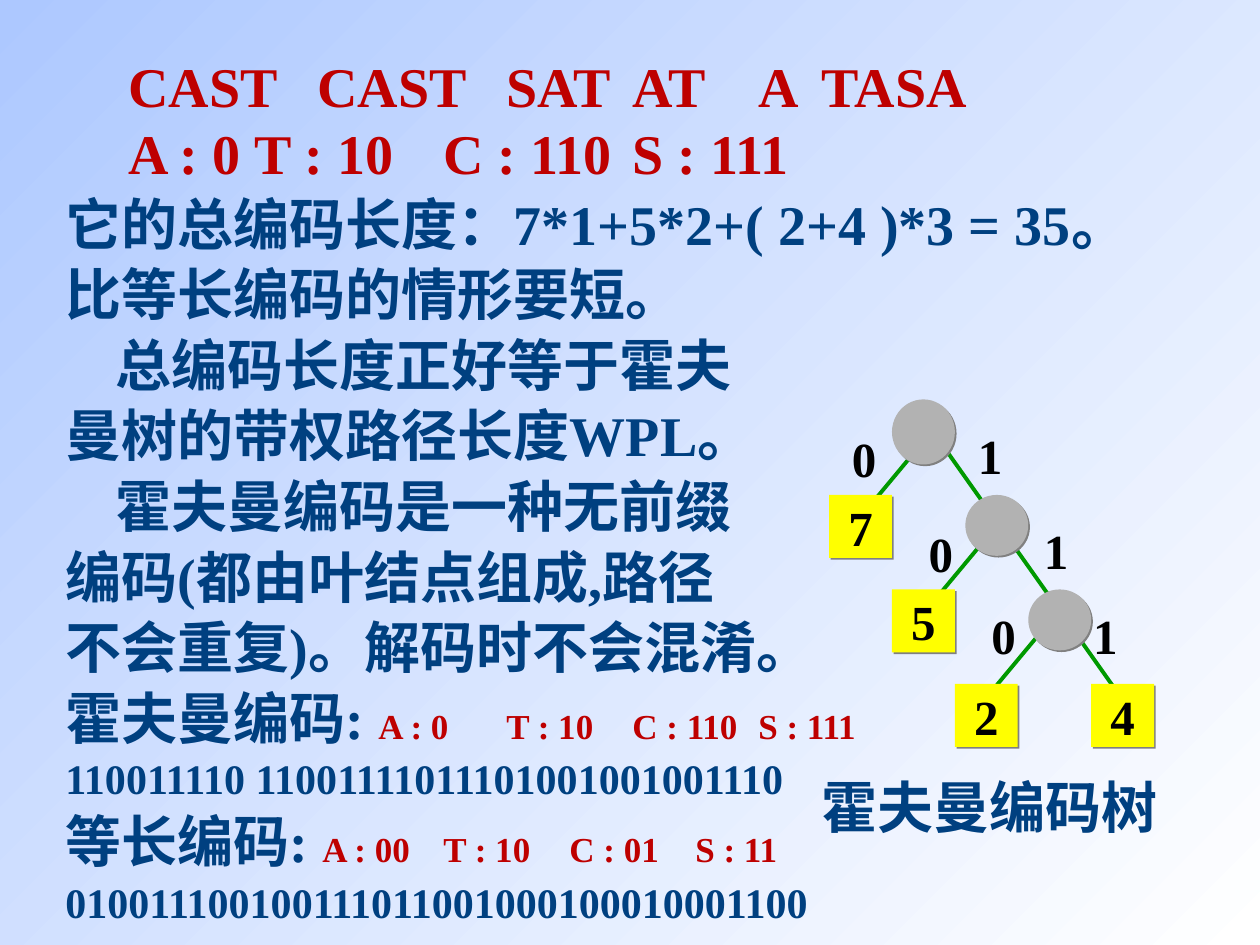
from lxml.etree import SubElement
from pptx import Presentation
from pptx.dml.color import RGBColor
from pptx.enum.shapes import MSO_CONNECTOR, MSO_SHAPE
from pptx.enum.text import MSO_ANCHOR, PP_ALIGN
from pptx.oxml.ns import qn
from pptx.util import Inches, Pt

FONT = "Times New Roman"
RED, NAVY, BLACK = "BE0000", "004080", "000000"
GREEN, GRAY, YELLOW, SHADOW = "009900", "B2B2B2", "FFFF00", "808080"

# Each paragraph: runs of (text, size, colour), line spacing, first-line indent, tab stops
BODY = [
    ([("\tCAST\tCAST\tSAT\tAT\tA\tTASA", 32, RED)], 1, 0, (1, 2.4, 3.79, 4.81, 5.59, 6.1)),
    ([("\tA : 0\tT : 10\tC : 110\tS : 111", 32, RED)], 1, 0, (1.45, 2.79, 4.46, 6.23)),
    ([("它的总编码长度：7*1+5*2+( 2+4 )*3 = 35。比等长编码的情形要短。", 32, NAVY)], 1.05, 0, ()),
    ([("总编码长度正好等于霍夫", 32, NAVY)], 1.05, 0.4, ()),
    ([("曼树的带权路径长度WPL。", 32, NAVY)], 1.05, 0, ()),
    ([("霍夫曼编码是一种无前缀", 32, NAVY)], 1.05, 0.4, ()),
    ([("编码(都由叶结点组成,路径", 32, NAVY)], 1.05, 0, ()),
    ([("不会重复)。解码时不会混淆。", 32, NAVY)], 1.05, 0, ()),
    ([("霍夫曼编码: ", 32, NAVY), ("A : 0\tT : 10\tC : 110\tS : 111", 20, RED)],
     1.05, 0, (3.43, 4.47, 5.58)),
    ([("110011110 11001111011101001001001110", 24, NAVY)], 1.05, 0, ()),
    ([("等长编码: ", 32, NAVY), ("A : 00\tT : 10\tC : 01\tS : 11", 20, RED)],
     1.05, 0, (3.05, 4.02, 5.01)),
    ([("010011100100111011001000100010001100", 24, NAVY)], 1.05, 0, ()),
]


def color(value):
    return RGBColor.from_string(value)


def style_run(run, size, value):
    run.font.name = FONT
    run.font.size = Pt(size)
    run.font.bold = True
    run.font.color.rgb = color(value)


def paint_background(slide):
    fill = slide.background.fill
    fill.gradient()
    fill.gradient_angle = 315
    for stop, position, value in zip(fill.gradient_stops, (0, 1), ("ADC8FF", "FFFFFF")):
        stop.position = position
        stop.color.rgb = color(value)


def set_indent_and_tabs(paragraph, indent, stops):
    properties = paragraph._p.get_or_add_pPr()
    properties.set("marL", "0")
    properties.set("indent", str(Inches(indent)))
    if stops:
        tab_list = SubElement(properties, qn("a:tabLst"))
        for stop in stops:
            SubElement(tab_list, qn("a:tab"), pos=str(Inches(stop)), algn="l")


def add_text(slide, box, paragraphs):
    text_frame = slide.shapes.add_textbox(*map(Inches, box)).text_frame
    text_frame.word_wrap = True
    for index, (runs, spacing, indent, stops) in enumerate(paragraphs):
        paragraph = text_frame.add_paragraph() if index else text_frame.paragraphs[0]
        set_indent_and_tabs(paragraph, indent, stops)
        paragraph.line_spacing = spacing
        for text, size, value in runs:
            run = paragraph.add_run()
            run.text = text
            style_run(run, size, value)


def add_hard_shadow(element):
    effects = element.spPr.find(qn("a:effectLst"))
    shadow = SubElement(effects, qn("a:outerShdw"), dist=str(Pt(1.4)), dir="2700000",
                        algn="ctr", rotWithShape="0")
    SubElement(shadow, qn("a:srgbClr"), val=SHADOW)


def add_code_tree(slide, box):
    """Draw the tree on a grid of 31 columns and 33 rows inside the box."""
    left, top, width, height = box
    group = slide.shapes.add_group_shape()

    def place(column, row):
        return Inches(left + column * width / 31), Inches(top + row * height / 33)

    def extent(columns, rows):
        return Inches(columns * width / 31), Inches(rows * height / 33)

    def edge(start, end):
        connector = group.shapes.add_connector(
            MSO_CONNECTOR.STRAIGHT, *place(*start), *place(*end))
        connector.line.color.rgb = color(GREEN)
        connector.line.width = Pt(2.25)
        SubElement(connector._element.spPr, qn("a:effectLst"))

    def label(shape, text):
        text_frame = shape.text_frame
        text_frame.text = text
        text_frame.word_wrap = False
        text_frame.vertical_anchor = MSO_ANCHOR.MIDDLE
        paragraph = text_frame.paragraphs[0]
        paragraph.alignment = PP_ALIGN.CENTER
        style_run(paragraph.runs[0], 28, BLACK)

    def node(kind, column, row, rows, value):
        shape = group.shapes.add_shape(kind, *place(column, row), *extent(6, rows))
        shape.fill.solid()
        shape.fill.fore_color.rgb = color(value)
        shape.line.fill.background()
        shape.shadow.inherit = False
        add_hard_shadow(shape._element)
        return shape

    for column, row in ((8, 5.2), (15, 13.2), (21, 21.2)):
        edge((column, row), (column - 5, row + 6))
    edge((10, 3.2), (27, 27.2))

    for column, row, rows in ((6, 0, 6.2), (13, 9.1, 5.8), (19, 18.1, 5.8)):
        node(MSO_SHAPE.OVAL, column, row, rows, GRAY)

    bits = {"0": ((1, 2.2), (8.3, 11.2), (14.3, 19)),
            "1": ((13, 1.9), (19.3, 10.9), (24, 19))}
    for bit, positions in bits.items():
        for position in positions:
            label(group.shapes.add_textbox(*place(*position), *extent(4.7, 6.8)), bit)

    leaves = (("7", 0, 9.1), ("5", 6, 18.1), ("2", 12, 27.1), ("4", 25, 27.1))
    for weight, column, row in leaves:
        label(node(MSO_SHAPE.RECTANGLE, column, row, 6, YELLOW), weight)


def main():
    presentation = Presentation()
    presentation.slide_width, presentation.slide_height = Inches(10), Inches(7.5)
    slide = presentation.slides.add_slide(presentation.slide_layouts[6])
    paint_background(slide)
    add_text(slide, (0.42, 0.36, 8.75, 7.05), BODY)
    add_text(slide, (6.42, 6.08, 2.92, 0.64), [([("霍夫曼编码树", 32, NAVY)], 1, 0, ())])
    add_code_tree(slide, (6.58, 3.17, 2.58, 2.75))
    presentation.save("out.pptx")


if __name__ == "__main__":
    main()
